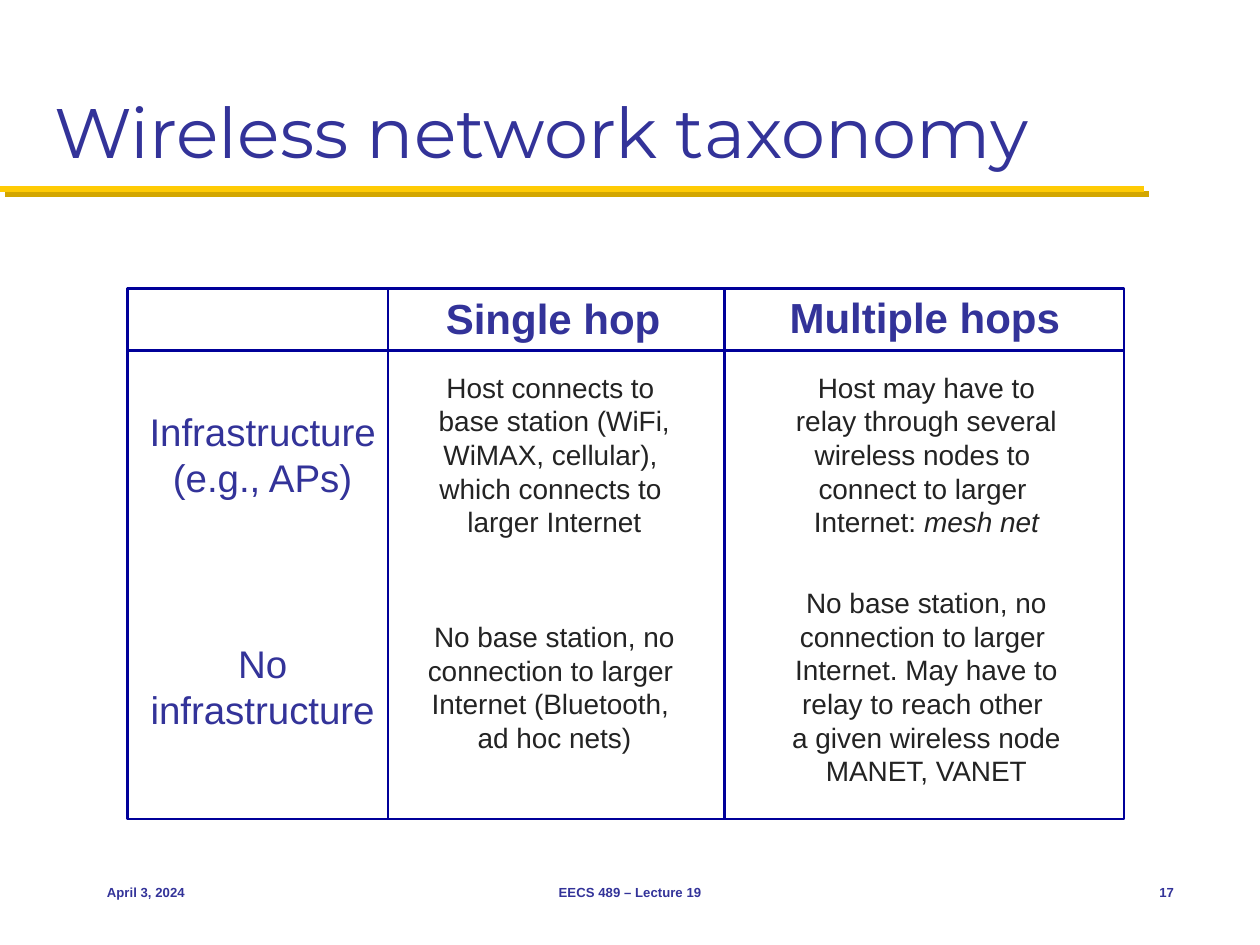
from lxml.etree import SubElement
from pptx import Presentation
from pptx.dml.color import RGBColor
from pptx.enum.shapes import MSO_CONNECTOR, MSO_SHAPE
from pptx.enum.text import MSO_ANCHOR, MSO_AUTO_SIZE, PP_ALIGN
from pptx.oxml.ns import qn
from pptx.util import Pt

INDIGO = RGBColor(0x33, 0x33, 0x99)
NAVY = RGBColor(0x00, 0x00, 0x99)
CHARCOAL = RGBColor(0x23, 0x23, 0x23)
MAIZE = RGBColor(0xFF, 0xCB, 0x05)
DARK_MAIZE = RGBColor(0xD3, 0xA6, 0x00)


def add_run(paragraph, text, *, size, color, font="Arial", bold=False, italic=False):
    run = paragraph.add_run()
    run.text = text
    run.font.name = font
    run.font.size = Pt(size)
    run.font.color.rgb = color
    run.font.bold = bold
    run.font.italic = italic


class SlideBuilder:
    border_width = 1.5

    def __init__(self, slide):
        self.slide = slide

    def text(self, left, top, width, height, lines, align=PP_ALIGN.LEFT,
             anchor=MSO_ANCHOR.TOP, wrap=True, **style):
        box = self.slide.shapes.add_textbox(Pt(left), Pt(top), Pt(width), Pt(height))
        frame = box.text_frame
        frame.word_wrap = wrap
        frame.auto_size = MSO_AUTO_SIZE.NONE if wrap else MSO_AUTO_SIZE.SHAPE_TO_FIT_TEXT
        frame.vertical_anchor = anchor
        for index, line in enumerate(lines):
            paragraph = frame.add_paragraph() if index else frame.paragraphs[0]
            paragraph.alignment = align
            for part, words in enumerate(line.split("*")):
                if words:
                    add_run(paragraph, words, italic=part % 2 == 1, **style)

    def cell(self, center, top, width, height, lines, align=PP_ALIGN.CENTER, **style):
        self.text(center - width / 2, top, width, height, lines,
                  align=align, wrap=False, **style)

    def line(self, x1, y1, x2, y2, color=NAVY, width=border_width, shadow=None):
        connector = self.slide.shapes.add_connector(
            MSO_CONNECTOR.STRAIGHT, Pt(x1), Pt(y1), Pt(x2), Pt(y2))
        connector.line.color.rgb = color
        connector.line.width = Pt(width)
        effects = SubElement(connector._element.spPr, qn("a:effectLst"))
        if shadow is not None:
            outer = SubElement(effects, qn("a:outerShdw"), dist=str(Pt(4.2)),
                               dir="2700000", algn="ctr", rotWithShape="0")
            SubElement(outer, qn("a:srgbClr"), val=str(shadow))

    def outline(self, left, top, width, height):
        rectangle = self.slide.shapes.add_shape(
            MSO_SHAPE.RECTANGLE, Pt(left), Pt(top), Pt(width), Pt(height))
        rectangle.shadow.inherit = False
        rectangle.fill.background()
        rectangle.line.color.rgb = NAVY
        rectangle.line.width = Pt(self.border_width)


def main():
    presentation = Presentation()
    presentation.slide_width = Pt(720)
    presentation.slide_height = Pt(540)
    builder = SlideBuilder(presentation.slides.add_slide(presentation.slide_layouts[6]))

    builder.line(0, 108, 653.8, 108, color=MAIZE, width=3.5, shadow=DARK_MAIZE)
    builder.text(24, 12, 672, 102 - 12, ["Wireless network taxonomy"],
                 anchor=MSO_ANCHOR.BOTTOM, size=40, color=INDIGO, font="Montserrat")

    label_center, single_center, multiple_center = 150.1, 316.8, 529.4

    for center, top, width, heading in (
        (single_center, 163.6, 138.2, "Single hop"),
        (multiple_center, 162.9, 170.6, "Multiple hops"),
    ):
        builder.cell(center, top, width, 36, [heading], align=PP_ALIGN.LEFT,
                     size=24, color=INDIGO, bold=True)

    for top, label in (
        (229.7, ["Infrastructure", "(e.g., APs)"]),
        (362.2, ["No", "infrastructure"]),
    ):
        builder.cell(label_center, top, 144.7, 60.5, label, size=22, color=INDIGO)

    for center, top, width, height, description in (
        (single_center, 208.1, 148.3, 104.4,
         ["Host connects to ", "base station (WiFi,", "WiMAX, cellular), ",
          "which connects to ", "larger Internet"]),
        (single_center, 350.6, 161.3, 85,
         ["No base station, no", "connection to larger ",
          "Internet (Bluetooth, ", "ad hoc nets)"]),
        (multiple_center, 208.1, 165.6, 104.4,
         ["Host may have to", "relay through several", "wireless nodes to ",
          "connect to larger ", "Internet: *mesh net*"]),
        (multiple_center, 331.2, 169.9, 123.8,
         ["No base station, no", "connection to larger ", "Internet. May have to",
          "relay to reach other ", "a given wireless node", "MANET, VANET"]),
    ):
        builder.cell(center, top, width, height, description, size=16, color=CHARCOAL)

    left, top, right, bottom = 72.7, 164.9, 642.2, 468
    header_bottom = 200.2
    builder.outline(left, top, right - left, bottom - top)
    builder.line(left, header_bottom, right, header_bottom)
    for divider in (221.8, 414):
        builder.line(divider, top, divider, bottom)

    for footer_left, width, footer, align in (
        (54, 150, "April 3, 2024", PP_ALIGN.LEFT),
        (246, 228, "EECS 489 – Lecture 19", PP_ALIGN.CENTER),
        (630, 48, "17", PP_ALIGN.RIGHT),
    ):
        builder.text(footer_left, 492, width, 36, [footer], align=align,
                     anchor=MSO_ANCHOR.MIDDLE, size=7.5, color=INDIGO, bold=True)

    presentation.save("out.pptx")


if __name__ == "__main__":
    main()
